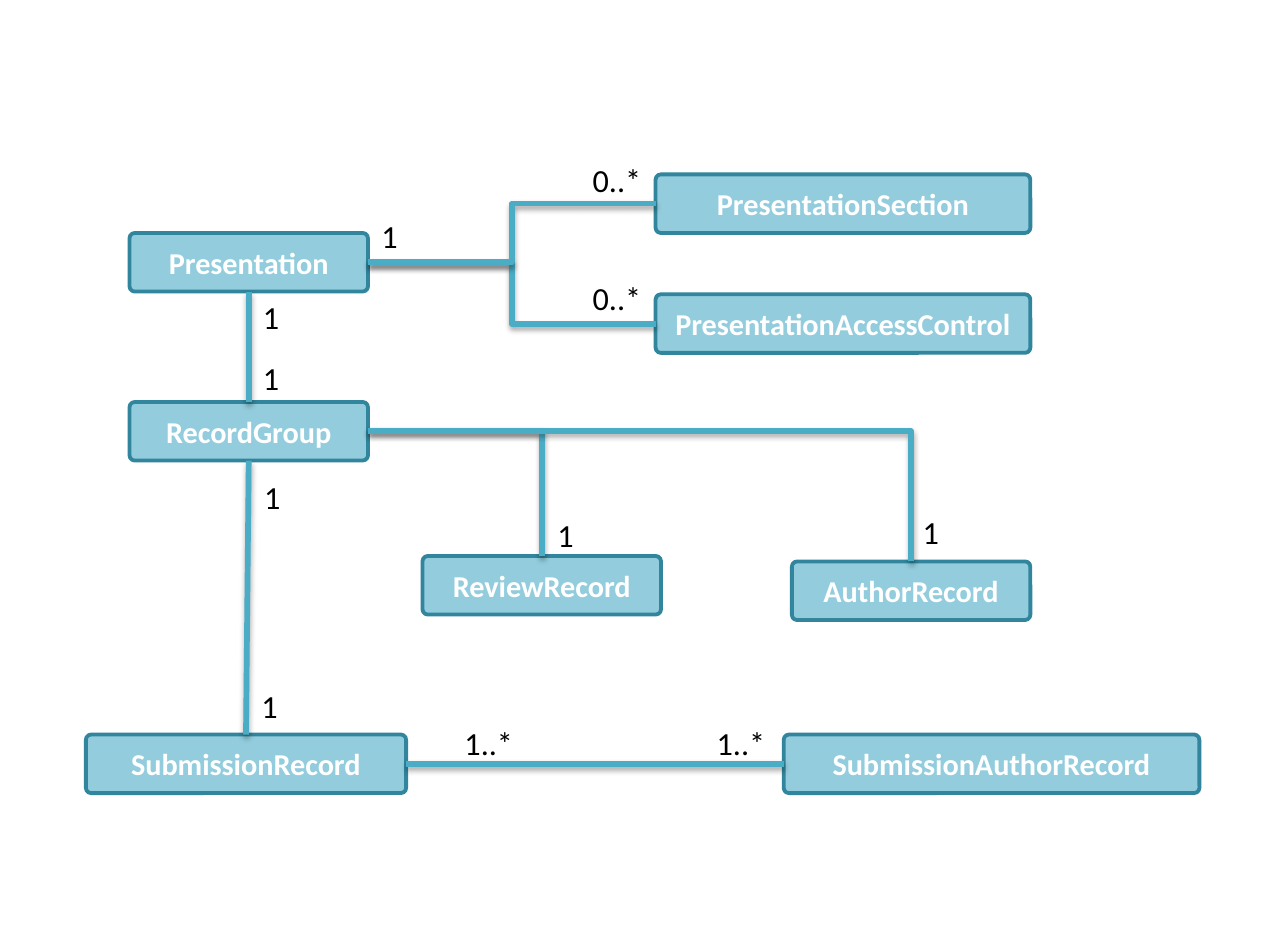
import pptx
import pptx.util
import pptx.dml.color
import pptx.enum.shapes
import pptx.enum.text
import pptx.oxml
import pptx.oxml.ns

Inches = pptx.util.Inches
Pt = pptx.util.Pt
RGBColor = pptx.dml.color.RGBColor
Connector = pptx.enum.shapes.MSO_CONNECTOR

LIGHT_TEAL = RGBColor(0x93, 0xCD, 0xDD)
DARK_TEAL = RGBColor(0x31, 0x85, 0x9C)
TEAL = RGBColor(0x4B, 0xAC, 0xC6)
WHITE = RGBColor(0xFF, 0xFF, 0xFF)
BLACK = RGBColor(0x00, 0x00, 0x00)

FONT = "Calibri"
ENTITY_HEIGHT = 0.43
LABEL_HEIGHT = 0.39
TOP, LEFT, BOTTOM, RIGHT = range(4)

ENTITIES = {
    "Presentation": (0.95, 1.71, 1.75),
    "PresentationSection": (4.81, 1.28, 2.75),
    "PresentationAccessControl": (4.81, 2.16, 2.75),
    "RecordGroup": (0.95, 2.95, 1.75),
    "ReviewRecord": (3.1, 4.08, 1.75),
    "AuthorRecord": (5.81, 4.12, 1.75),
    "SubmissionRecord": (0.63, 5.39, 2.35),
    "SubmissionAuthorRecord": (5.75, 5.39, 3.05),
}

RELATIONS = [
    ("Presentation", RIGHT, "PresentationAccessControl", LEFT, "bentConnector3"),
    ("Presentation", RIGHT, "PresentationSection", LEFT, "bentConnector3"),
    ("Presentation", BOTTOM, "RecordGroup", TOP, "line"),
    ("RecordGroup", BOTTOM, "SubmissionRecord", TOP, "line"),
    ("RecordGroup", RIGHT, "ReviewRecord", TOP, "bentConnector2"),
    ("RecordGroup", RIGHT, "AuthorRecord", TOP, "bentConnector2"),
    ("SubmissionRecord", RIGHT, "SubmissionAuthorRecord", LEFT, "line"),
]

MULTIPLICITIES = {
    "1": [(2.7, 1.54), (1.83, 2.13), (1.83, 2.58), (1.84, 3.45),
          (1.82, 4.99), (3.99, 3.73), (6.67, 3.71)],
    "0..*": [(4.25, 1.13), (4.25, 1.99)],
    "1..*": [(3.31, 5.26), (5.16, 5.26)],
}
LABEL_WIDTHS = {"1": 0.32, "0..*": 0.56, "1..*": 0.56}

SHADOW = (
    f'<a:effectLst {pptx.oxml.ns.nsdecls("a")}>'
    f'<a:outerShdw blurRad="{Pt(3.1)}" dist="{Pt(1.8)}" dir="5400000" rotWithShape="0">'
    '<a:srgbClr val="000000"><a:alpha val="35000"/></a:srgbClr>'
    '</a:outerShdw></a:effectLst>'
)


def write(shape, text, size, color, bold=False):
    para = shape.text_frame.paragraphs[0]
    para.text = text
    para.font.name = FONT
    para.font.size = Pt(size)
    para.font.bold = bold
    para.font.color.rgb = color
    return para


def add_entity(page, name, left, top, width):
    box = page.shapes.add_shape(
        pptx.enum.shapes.MSO_SHAPE.ROUNDED_RECTANGLE,
        Inches(left), Inches(top), Inches(width), Inches(ENTITY_HEIGHT))
    box.adjustments[0] = 0.09
    box.shadow.inherit = False
    box.fill.solid()
    box.fill.fore_color.rgb = LIGHT_TEAL
    box.line.color.rgb = DARK_TEAL
    box.line.width = Pt(2)
    box.text_frame.vertical_anchor = pptx.enum.text.MSO_ANCHOR.MIDDLE
    para = write(box, name, 16, WHITE, bold=True)
    para.alignment = pptx.enum.text.PP_ALIGN.CENTER
    return box


def add_relation(page, source, source_side, target, target_side, geometry):
    kind = Connector.STRAIGHT if geometry == "line" else Connector.ELBOW
    link = page.shapes.add_connector(kind, 0, 0, 0, 0)
    link.begin_connect(source, source_side)
    link.end_connect(target, target_side)
    link.line.color.rgb = TEAL
    link.line.width = Pt(3)
    properties = link._element.spPr
    properties.find(pptx.oxml.ns.qn("a:prstGeom")).set("prst", geometry)
    properties.append(pptx.oxml.parse_xml(SHADOW))


def add_multiplicity(page, text, left, top):
    label = page.shapes.add_textbox(
        Inches(left), Inches(top), Inches(LABEL_WIDTHS[text]), Inches(LABEL_HEIGHT))
    label.text_frame.word_wrap = False
    label.text_frame.auto_size = pptx.enum.text.MSO_AUTO_SIZE.SHAPE_TO_FIT_TEXT
    write(label, text, 17, BLACK)


deck = pptx.Presentation()
deck.slide_width = Inches(9.45)
deck.slide_height = Inches(6.89)
page = deck.slides.add_slide(deck.slide_layouts[6])

boxes = {name: add_entity(page, name, *place) for name, place in ENTITIES.items()}

for source, source_side, target, target_side, geometry in RELATIONS:
    add_relation(page, boxes[source], source_side, boxes[target], target_side, geometry)

for text, places in MULTIPLICITIES.items():
    for left, top in places:
        add_multiplicity(page, text, left, top)

deck.save("out.pptx")
